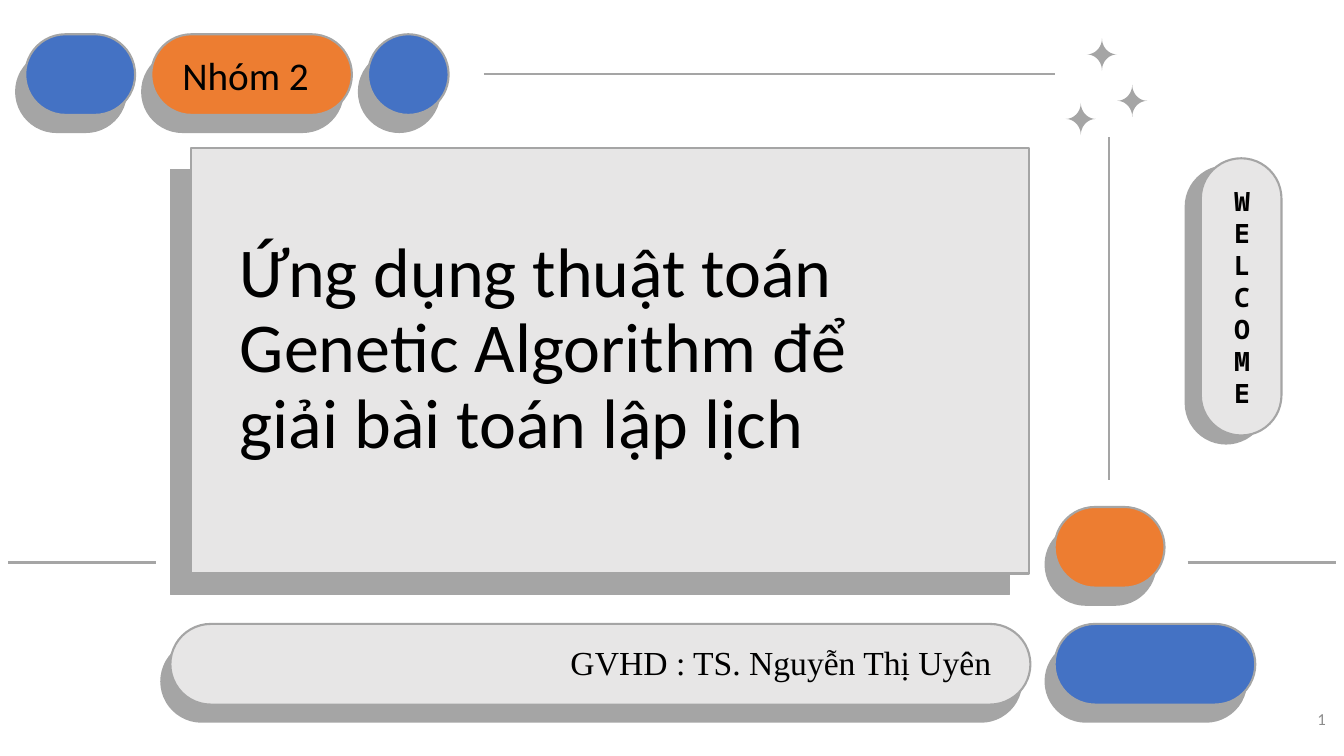
from math import copysign, cos, pi, sin

from lxml.etree import SubElement
from pptx import Presentation
from pptx.dml.color import RGBColor
from pptx.enum.shapes import MSO_CONNECTOR, MSO_SHAPE
from pptx.enum.text import MSO_ANCHOR, PP_ALIGN
from pptx.oxml.ns import qn
from pptx.util import Inches, Pt

GREY = RGBColor(0xA5, 0xA5, 0xA5)
LIGHT = RGBColor(0xE7, 0xE6, 0xE6)
BLUE = RGBColor(0x44, 0x72, 0xC4)
ORANGE = RGBColor(0xED, 0x7D, 0x31)
BLACK = RGBColor(0, 0, 0)
NUMBER_GREY = RGBColor(0x8C, 0x8C, 0x8C)

PILL, OVAL, CARD = MSO_SHAPE.ROUNDED_RECTANGLE, MSO_SHAPE.OVAL, MSO_SHAPE.RECTANGLE
PILL_HEIGHT = 0.8


def add_block(page, kind, box, fill, weight=1.5, rotation=0):
    block = page.shapes.add_shape(kind, *map(Inches, box))
    if kind == PILL:
        block.adjustments[0] = 0.5
    block.rotation = rotation
    block.shadow.inherit = False
    block.fill.solid()
    block.fill.fore_color.rgb = fill
    block.line.color.rgb = GREY
    block.line.width = Pt(weight)


def add_raised(page, kind, box, fill, offset=(-0.09, 0.17), back_weight=1.5, rotation=0):
    """A block with a solid grey block behind it."""
    left, top, width, height = box
    behind = (left + offset[0], top + offset[1], width, height)
    add_block(page, kind, behind, GREY, back_weight, rotation)
    add_block(page, kind, box, fill, rotation=rotation)


def add_rule(page, x1, y1, x2, y2):
    rule = page.shapes.add_connector(MSO_CONNECTOR.STRAIGHT, *map(Inches, (x1, y1, x2, y2)))
    rule.line.color.rgb = GREY
    rule.line.width = Pt(1.5)
    SubElement(rule._element.spPr, qn("a:effectLst"))


def add_star(page, left, top, width=0.3, height=0.32):
    """Four-pointed star with concave arc sides."""
    points = []
    for step in range(48):
        angle = 2 * pi * step / 48
        x = copysign(1 - abs(sin(angle)), cos(angle))
        y = copysign(1 - abs(cos(angle)), sin(angle))
        points.append((Inches(left + width * (1 + x) / 2), Inches(top + height * (1 + y) / 2)))
    builder = page.shapes.build_freeform(*points[0])
    builder.add_line_segments(points[1:], close=True)
    star = builder.convert_to_shape()
    star.shadow.inherit = False
    star.fill.solid()
    star.fill.fore_color.rgb = GREY
    star.line.fill.background()


def add_text(page, box, text, size, font="Calibri", color=BLACK, bold=False, wrap=True,
             inset=0.13, align=PP_ALIGN.LEFT, anchor=MSO_ANCHOR.TOP, spacing=None):
    frame = page.shapes.add_textbox(*map(Inches, box)).text_frame
    frame.word_wrap = wrap
    frame.vertical_anchor = anchor
    frame.margin_left = frame.margin_right = Inches(inset)
    frame.margin_top = frame.margin_bottom = Inches(min(inset, 0.13) if wrap else 0.05)
    para = frame.paragraphs[0]
    para.alignment = align
    if spacing:
        para.line_spacing = spacing
    span = para.add_run()
    span.text = text
    span.font.name = font
    span.font.size = Pt(size)
    span.font.bold = bold
    span.font.color.rgb = color


def add_header(page, left, top):
    # Group name between two blue buttons
    add_raised(page, PILL, (left, top, 1.09, PILL_HEIGHT), BLUE)
    add_raised(page, PILL, (left + 1.25, top, 1.99, PILL_HEIGHT), ORANGE)
    add_raised(page, OVAL, (left + 3.4, top, PILL_HEIGHT, PILL_HEIGHT), BLUE)
    add_text(page, (left + 1.46, top + 0.12, 1.58, 0.57), "Nhóm 2", 28, wrap=False, inset=0.1)
    # Rule and stars
    add_rule(page, left + 4.55, top + 0.39, left + 10.21, top + 0.39)
    for x, y in ((10.32, 0.68), (10.53, 0.04), (10.83, 0.5)):
        add_star(page, left + x, top + y)


def add_title_card(page, left, top, width, height):
    add_raised(page, CARD, (left, top, width, height), LIGHT, (-0.2, 0.21), 0.75)
    add_text(page, (left + 0.36, top + 0.43, 7.41, 3.15),
             "Ứng dụng thuật toán Genetic Algorithm để giải bài toán lập lịch",
             50, anchor=MSO_ANCHOR.MIDDLE, spacing=0.9)


def add_welcome(page, left, top, width, height):
    # The pill lies on its side and is turned upright
    lying = (left + (width - height) / 2, top + (height - width) / 2, height, width)
    add_raised(page, PILL, lying, LIGHT, (-0.15, 0.08), rotation=90)
    # The narrow box sets one letter per line
    add_text(page, (left + 0.2, top + 0.17, 0.35, 2.41), "WELCOME", 19, "Noto Sans Mono",
             bold=True, align=PP_ALIGN.CENTER, anchor=MSO_ANCHOR.MIDDLE)


def add_footer(page, left, top):
    # Supervisor bar and buttons
    add_raised(page, PILL, (left, top, 8.53, PILL_HEIGHT), LIGHT)
    add_raised(page, PILL, (left + 8.77, top, 1.99, PILL_HEIGHT), BLUE)
    add_raised(page, PILL, (left + 8.77, top - 1.16, 1.09, PILL_HEIGHT), ORANGE)
    add_text(page, (left + 3.87, top + 0.13, 4.42, 0.5), "GVHD : TS. Nguyễn Thị Uyên", 24,
             "Times New Roman", wrap=False, inset=0.1)
    # Slide number
    add_text(page, (left + 10.79, top + 0.74, 0.8, 0.57), "1", 12, color=NUMBER_GREY,
             align=PP_ALIGN.RIGHT)


def add_side_rules(page):
    add_rule(page, 11, 4.76, 11, 1.36)
    for x in (0.08, 11.78):
        add_rule(page, x, 5.58, x + 1.47, 5.58)


def main():
    deck = Presentation()
    deck.slide_width, deck.slide_height = Inches(13.33), Inches(7.5)
    page = deck.slides.add_slide(deck.slide_layouts[6])
    add_side_rules(page)
    add_header(page, 0.25, 0.34)
    add_title_card(page, 1.89, 1.47, 8.32, 4.22)
    add_welcome(page, 11.91, 1.57, PILL_HEIGHT, 2.75)
    add_footer(page, 1.69, 6.19)
    deck.save("out.pptx")


if __name__ == "__main__":
    main()
